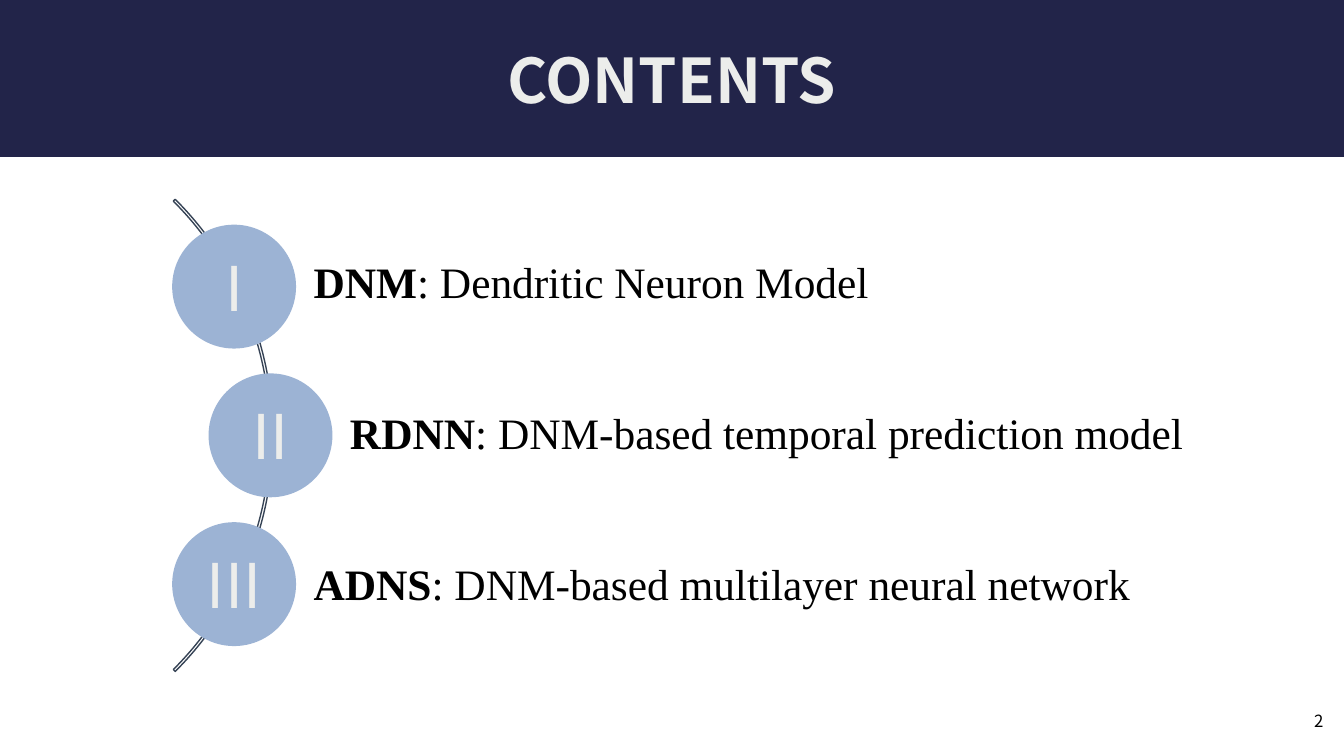
from pptx import Presentation
from pptx.dml.color import RGBColor
from pptx.enum.shapes import MSO_SHAPE
from pptx.enum.text import MSO_ANCHOR, MSO_AUTO_SIZE, PP_ALIGN
from pptx.oxml.ns import qn
from pptx.util import Pt
from lxml.etree import SubElement

COLORS = {
    "navy": "222449",
    "circle": "9CB3D4",
    "arc": "364355",
    "light": "ECEDEB",
    "black": "000000",
}
SANS = "Noto Sans CJK SC"
NUMERAL_FONT = "Noto Sans CJK JP"
SERIF = "Times New Roman"
SECTIONS = [
    ("I", "DNM", ": Dendritic Neuron Model", 0),
    ("II", "RDNN", ": DNM-based temporal prediction model", 26),
    ("III", "ADNS", ": DNM-based multilayer neural network", 0),
]
PITCH = 106.25
DIAMETER = 88.5


def color(name):
    return RGBColor.from_string(COLORS[name])


def place(s, left, top, width, height):
    s.left, s.top, s.width, s.height = Pt(left), Pt(top), Pt(width), Pt(height)


def set_frame(tf, inset=0, wrap=True):
    tf.auto_size = MSO_AUTO_SIZE.NONE
    tf.word_wrap = wrap
    tf.vertical_anchor = MSO_ANCHOR.MIDDLE
    tf.margin_left = tf.margin_right = Pt(inset)
    tf.margin_top = tf.margin_bottom = Pt(inset / 2)


def style(p, font, size, fill, align, bold=None):
    p.alignment = align
    p.font.name = font
    p.font.size = Pt(size)
    p.font.color.rgb = color(fill)
    p.font.bold = bold


def add_title(slide, text):
    s = slide.shapes.title
    place(s, 0, 0, 960, 112)
    s.fill.solid()
    s.fill.fore_color.rgb = color("navy")
    set_frame(s.text_frame, 7.2)
    s.text_frame.text = text
    style(s.text_frame.paragraphs[0], SANS, 44, "light", PP_ALIGN.CENTER, True)


def add_section_list(slide):
    s = slide.placeholders[1]
    place(s, 224, 169, 642, 284)
    tf = s.text_frame
    set_frame(tf)
    for i, (_, name, detail, indent) in enumerate(SECTIONS):
        p = tf.add_paragraph() if i else tf.paragraphs[0]
        style(p, SERIF, 31, "black", PP_ALIGN.LEFT)
        p.line_spacing = 0.9
        p.space_before = Pt(74.25 if i else 0)
        p.space_after = Pt(0)
        r = p.add_run()
        r.text = name
        r.font.bold = True
        p.add_run().text = detail
        pPr = p._p.get_or_add_pPr()
        pPr.set("marL", str(Pt(indent)))
        pPr.set("indent", "0")
        pPr.insert_element_before(pPr.makeelement(qn("a:buNone")), "a:tabLst", "a:defRPr", "a:extLst")


def add_arc(slide):
    s = slide.shapes.add_shape(MSO_SHAPE.BLOCK_ARC, Pt(-282), Pt(72.5), Pt(477), Pt(477))
    s.shadow.inherit = False
    for i, value in enumerate((189, 27, 0.004)):
        s.adjustments[i] = value
    s.fill.background()
    s.line.color.rgb = color("arc")
    s.line.width = Pt(1)


def add_numeral(slide, numeral, left, top):
    s = slide.shapes.add_shape(MSO_SHAPE.OVAL, Pt(left), Pt(top), Pt(DIAMETER), Pt(DIAMETER))
    s.shadow.inherit = False
    s.fill.solid()
    s.fill.fore_color.rgb = color("circle")
    s.line.fill.background()
    set_frame(s.text_frame, wrap=False)
    s.text_frame.text = numeral
    style(s.text_frame.paragraphs[0], NUMERAL_FONT, 44, "light", PP_ALIGN.CENTER)


def add_page_number(slide, number):
    s = slide.shapes.add_textbox(Pt(736.5), Pt(500.5), Pt(216), Pt(28.75))
    set_frame(s.text_frame, 7.2)
    s.text_frame.text = number
    style(s.text_frame.paragraphs[0], SANS, 12, "black", PP_ALIGN.RIGHT)


def main():
    prs = Presentation()
    prs.slide_width, prs.slide_height = Pt(960), Pt(540)
    slide = prs.slides.add_slide(prs.slide_layouts[1])
    add_title(slide, "CONTENTS")
    add_section_list(slide)
    add_arc(slide)
    for i, (numeral, _, _, indent) in enumerate(SECTIONS):
        add_numeral(slide, numeral, 123 + indent, 160.5 + i * PITCH)
    add_page_number(slide, "2")
    prs.save("out.pptx")


if __name__ == "__main__":
    main()
